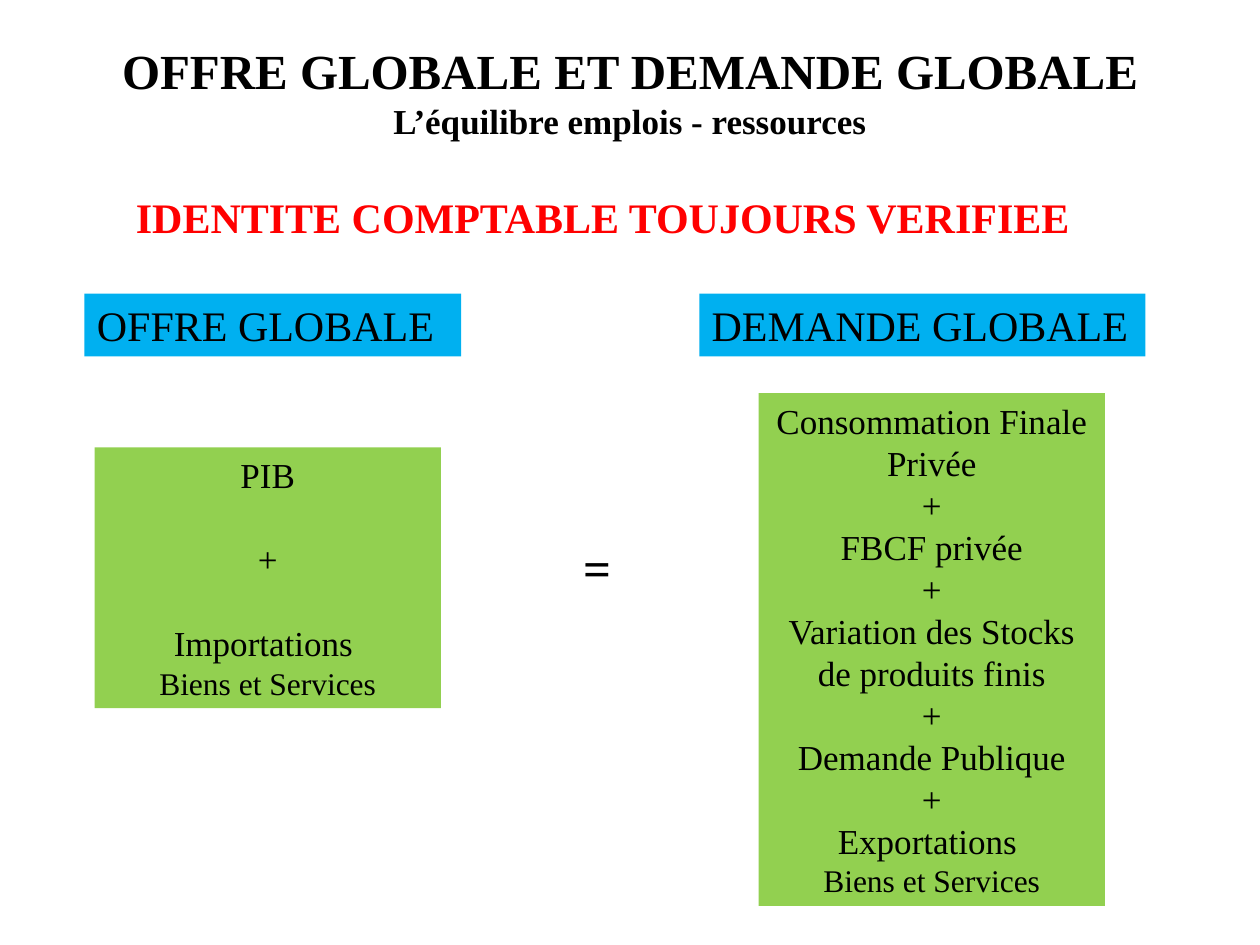
from pptx import Presentation
from pptx import util as u
from pptx.dml.color import RGBColor
from pptx.enum import shapes, text

FONT = "Times New Roman"
COLOURS = {"ink": "000000", "alert": "FF0000", "heading": "00B0F0", "content": "92D050"}
LINE_FACTOR = 1.2
SUPPLY = ["PIB", "+", "Importations ", "Biens et Services"]
DEMAND = [
    "Consommation Finale Privée", "+", "FBCF privée", "+",
    "Variation des Stocks de produits finis", "+",
    "Demande Publique", "+", "Exportations ", "Biens et Services",
]


def colour(key):
    return RGBColor.from_string(COLOURS[key])


def style(paragraph, size, bold=False, ink="ink", align=text.PP_ALIGN.LEFT):
    paragraph.alignment = align
    font = paragraph.font
    font.name, font.size, font.bold = FONT, u.Pt(size), bold
    font.color.rgb = colour(ink)


def prepare_frame(shape):
    frame = shape.text_frame
    frame.word_wrap = True
    frame.vertical_anchor = text.MSO_ANCHOR.TOP
    return frame


def add_panel(slide, place, fill):
    panel = slide.shapes.add_shape(shapes.MSO_SHAPE.RECTANGLE, *map(u.Inches, place))
    panel.shadow.inherit = False
    panel.fill.solid()
    panel.fill.fore_color.rgb = colour(fill)
    panel.line.fill.background()
    return prepare_frame(panel)


def add_heading(slide, place, wording):
    frame = add_panel(slide, place, "heading")
    frame.text = wording
    style(frame.paragraphs[0], 24)


def add_components(slide, place, components, gap=0):
    frame = add_panel(slide, place, "content")
    frame.text = "\n".join(components)
    for index, paragraph in enumerate(frame.paragraphs):
        size = 18 if index == len(components) - 1 else 20
        style(paragraph, size, align=text.PP_ALIGN.CENTER)
        paragraph.line_spacing = u.Pt(size * LINE_FACTOR)
        if components[index] == "+" and gap:
            paragraph.space_before = paragraph.space_after = u.Pt(gap)


def add_statement(slide, place, wording, size, ink="ink"):
    frame = prepare_frame(slide.shapes.add_textbox(*map(u.Inches, place)))
    frame.text = wording
    style(frame.paragraphs[0], size, True, ink)


def set_title(slide, heading, subtitle):
    title = slide.shapes.title
    title.left, title.top = u.Inches(0.75), u.Inches(0.28)
    title.width, title.height = u.Inches(8.5), u.Inches(0.88)
    frame = title.text_frame
    frame.text = f"{heading}\v{subtitle}"
    frame.vertical_anchor = text.MSO_ANCHOR.MIDDLE
    paragraph = frame.paragraphs[0]
    style(paragraph, 28, True, align=text.PP_ALIGN.CENTER)
    paragraph.runs[1].font.size = u.Pt(20)


def main():
    deck = Presentation()
    deck.slide_width, deck.slide_height = u.Inches(10), u.Inches(7.5)
    slide = deck.slides.add_slide(deck.slide_layouts[5])
    set_title(slide, "OFFRE GLOBALE ET DEMANDE GLOBALE", "L’équilibre emplois - ressources")
    add_heading(slide, (0.67, 2.33, 2.99, 0.5), "OFFRE GLOBALE")
    add_heading(slide, (5.55, 2.33, 3.54, 0.5), "DEMANDE GLOBALE")
    add_components(slide, (0.75, 3.55, 2.75, 2.07), SUPPLY, gap=24)
    add_components(slide, (6.02, 3.12, 2.75, 4.07), DEMAND)
    add_statement(slide, (4.53, 4.22, 0.55, 0.57), "=", 28)
    add_statement(slide, (0.98, 1.47, 7.88, 0.5), "IDENTITE COMPTABLE TOUJOURS VERIFIEE", 24, "alert")
    deck.save("out.pptx")


if __name__ == "__main__":
    main()
